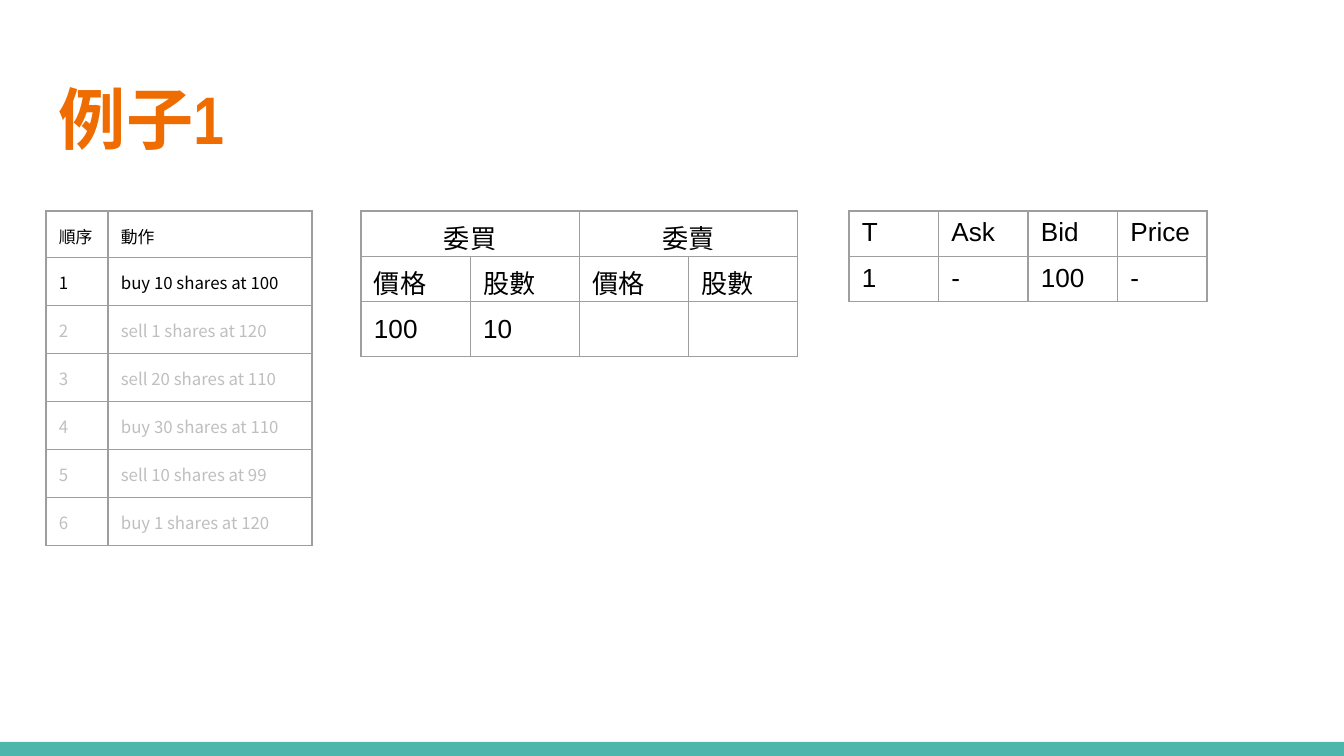
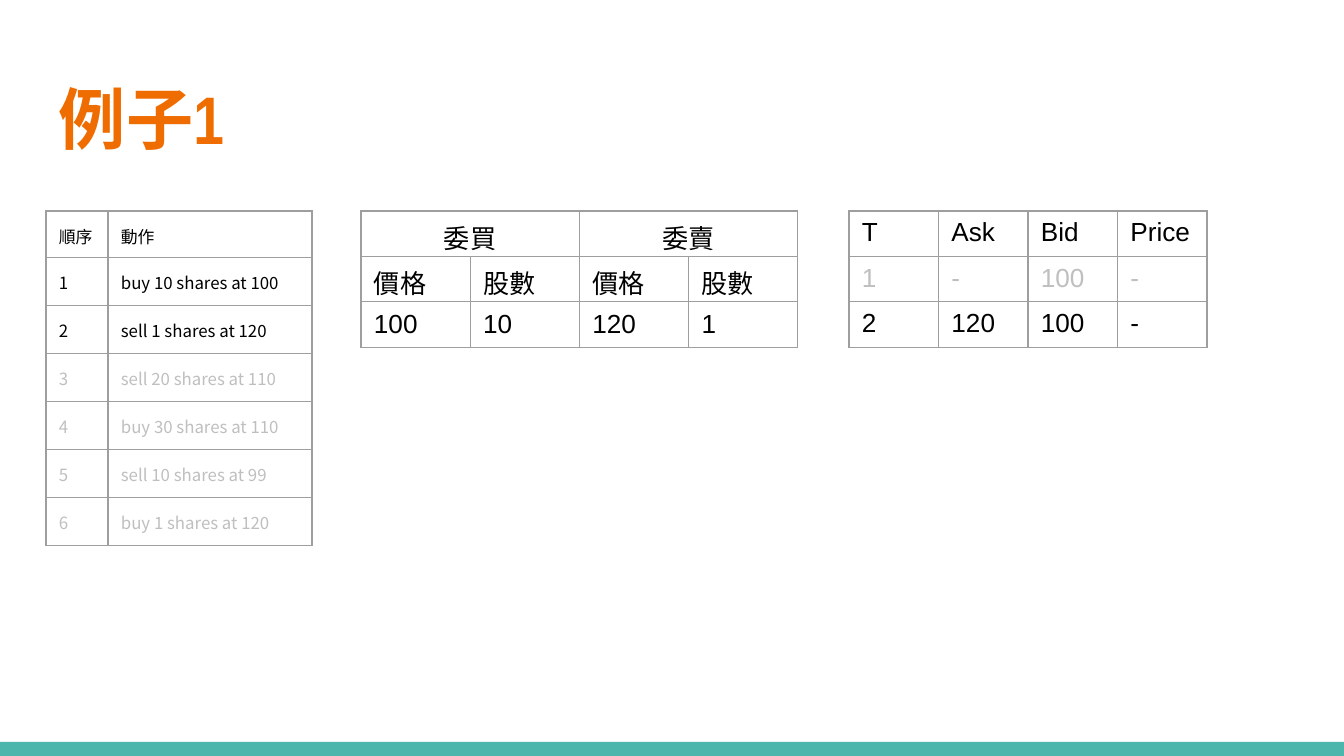
from lxml import etree
from pptx import Presentation
from pptx.dml.color import RGBColor
from pptx.enum.shapes import MSO_SHAPE
from pptx.enum.text import MSO_ANCHOR, PP_ALIGN
from pptx.oxml.ns import qn
from pptx.util import Emu, Pt

PX = 914400 / 134.4
PAGE_WIDTH, PAGE_HEIGHT = 1344, 756
COLORS = {
    "title": "EF6C00",
    "band": "4DB6AC",
    "text": "000000",
    "muted": "BFBFBF",
    "border": "9E9E9E",
    "page": "FFFFFF",
}
CJK_FONT = "Noto Sans CJK TC"

TITLE_BOX = (46, 66, 1252, 103)
BAND_BOX = (0, 742, PAGE_WIDTH, 14)
ACTIONS_BOX = (46, 211, 266, 334)
ORDERS_BOX = (361, 211, 437, 132)
QUOTES_BOX = (849, 211, 358, 24)  # height is that of one row

ACTIONS = [
    "buy 10 shares at 100",
    "sell 1 shares at 120",
    "sell 20 shares at 110",
    "buy 30 shares at 110",
    "sell 10 shares at 99",
    "buy 1 shares at 120",
]
STEPS = [
    {"orders": ["100", "10", "", ""], "quote": ["-", "100", "-"]},
    {"orders": ["100", "10", "120", "1"], "quote": ["120", "100", "-"]},
]


def px(length):
    return Emu(round(length * PX))


def rgb(name):
    return RGBColor.from_string(COLORS[name])


def style_text(para, font, size, color, bold=False):
    for span in para.runs:
        span.font.name = font
        span.font.size = Pt(size)
        span.font.bold = bold
        span.font.color.rgb = rgb(color)
        east_asian = etree.Element(qn("a:ea"), typeface=CJK_FONT)
        span.font._element.find(qn("a:latin")).addnext(east_asian)


def set_margins(target, horizontal, vertical):
    target.margin_left = target.margin_right = px(horizontal)
    target.margin_top = target.margin_bottom = px(vertical)


def set_borders(cell):
    properties = cell._tc.get_or_add_tcPr()
    for index, side in enumerate(("lnL", "lnR", "lnT", "lnB")):
        line = etree.Element(qn(f"a:{side}"), w=str(Pt(0.75)))
        fill = etree.SubElement(line, qn("a:solidFill"))
        etree.SubElement(fill, qn("a:srgbClr"), val=COLORS["border"])
        properties.insert(index, line)


def add_grid(page, box, rows, widths, heights, font, size, margin, anchor, muted=()):
    """Add a bordered table; the rows whose index is in muted are greyed."""
    table = page.shapes.add_table(len(rows), len(widths), *map(px, box)).table
    table.first_row = table.horz_banding = False
    for column, width in zip(table.columns, widths):
        column.width = px(width)
    for row, height in zip(table.rows, heights):
        row.height = px(height)
    for row_index, values in enumerate(rows):
        color = "muted" if row_index in muted else "text"
        for column_index, value in enumerate(values):
            cell = table.cell(row_index, column_index)
            cell.fill.background()
            set_borders(cell)
            set_margins(cell, 13, margin)
            cell.vertical_anchor = anchor
            if value:
                cell.text_frame.text = value
                style_text(cell.text_frame.paragraphs[0], font, size, color)
    return table


def add_title(page, box, text):
    frame = page.shapes.add_textbox(*map(px, box)).text_frame
    frame.word_wrap = True
    frame.vertical_anchor = MSO_ANCHOR.MIDDLE
    set_margins(frame, 13, 13)
    frame.text = text
    style_text(frame.paragraphs[0], "Arial Narrow", 36, "title", bold=True)


def add_band(page, box):
    band = page.shapes.add_shape(MSO_SHAPE.RECTANGLE, *map(px, box))
    band.shadow.inherit = False
    band.fill.solid()
    band.fill.fore_color.rgb = rgb("band")
    band.line.fill.background()


def add_actions(page, box, done):
    rows = [("順序", "動作")]
    rows += [(str(number), action) for number, action in enumerate(ACTIONS, 1)]
    widths = (62, box[2] - 62)
    heights = [46] + [48] * len(ACTIONS)
    add_grid(page, box, rows, widths, heights, CJK_FONT, 9, 13,
             MSO_ANCHOR.MIDDLE, muted=range(done + 1, len(rows)))


def add_orders(page, box, orders):
    rows = [("委買", "", "委賣", ""), ("價格", "股數") * 2, orders]
    table = add_grid(page, box, rows, [box[2] / 4] * 4, [box[3] / 3] * 3,
                     "Arial", 14, 7, MSO_ANCHOR.MIDDLE)
    for column in (0, 2):
        heading = table.cell(0, column)
        heading.merge(table.cell(0, column + 1))
        heading.text_frame.paragraphs[0].alignment = PP_ALIGN.CENTER


def add_quotes(page, box, quotes):
    left, top, width, row_height = box
    rows = [("T", "Ask", "Bid", "Price")]
    rows += [(str(number), *quote) for number, quote in enumerate(quotes, 1)]
    add_grid(page, (left, top, width, row_height * len(rows)), rows,
             [width / 4] * 4, [row_height] * len(rows), "Arial", 14, 7,
             MSO_ANCHOR.TOP, muted=range(1, len(quotes)))


def add_step_page(deck, done):
    page = deck.slides.add_slide(deck.slide_layouts[6])
    page.background.fill.solid()
    page.background.fill.fore_color.rgb = rgb("page")
    add_band(page, BAND_BOX)
    add_title(page, TITLE_BOX, "例子1")
    add_actions(page, ACTIONS_BOX, done)
    add_orders(page, ORDERS_BOX, STEPS[done - 1]["orders"])
    add_quotes(page, QUOTES_BOX, [step["quote"] for step in STEPS[:done]])


def main():
    deck = Presentation()
    deck.slide_width, deck.slide_height = px(PAGE_WIDTH), px(PAGE_HEIGHT)
    for done in range(1, len(STEPS) + 1):
        add_step_page(deck, done)
    deck.save("out.pptx")


if __name__ == "__main__":
    main()
